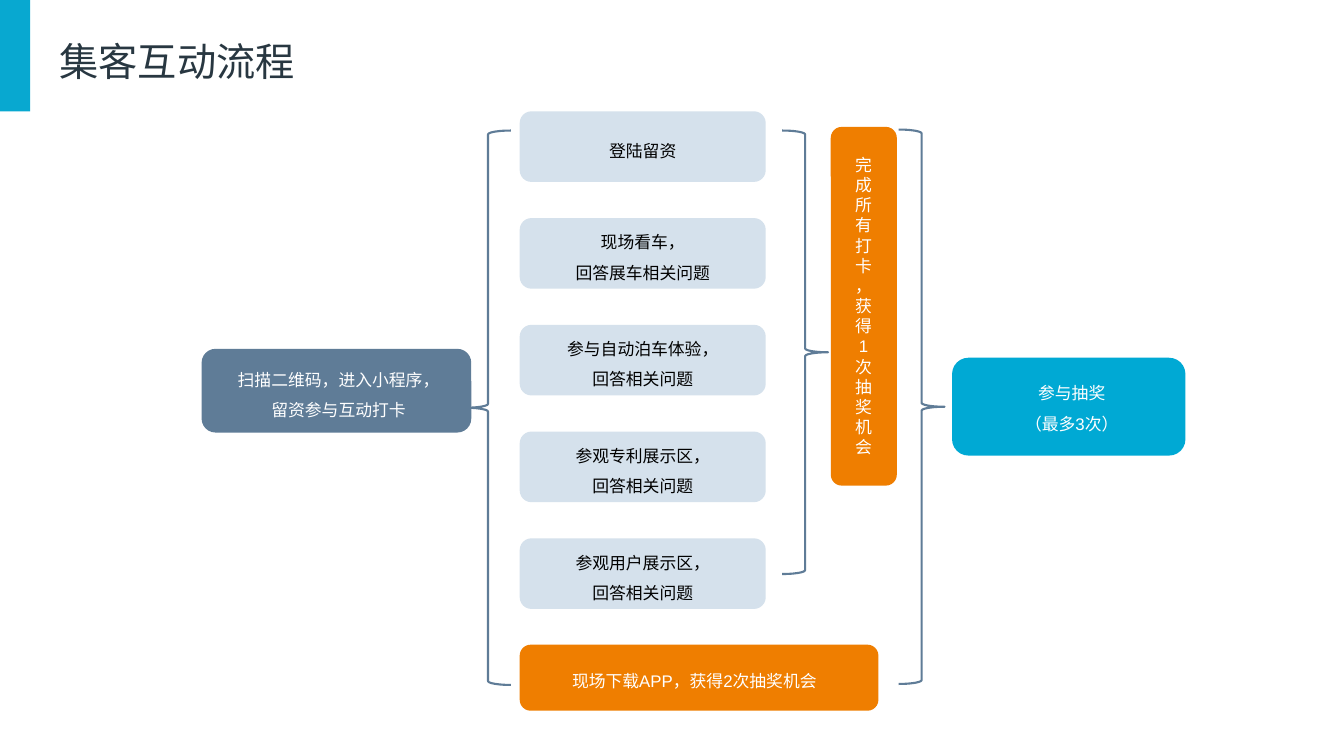
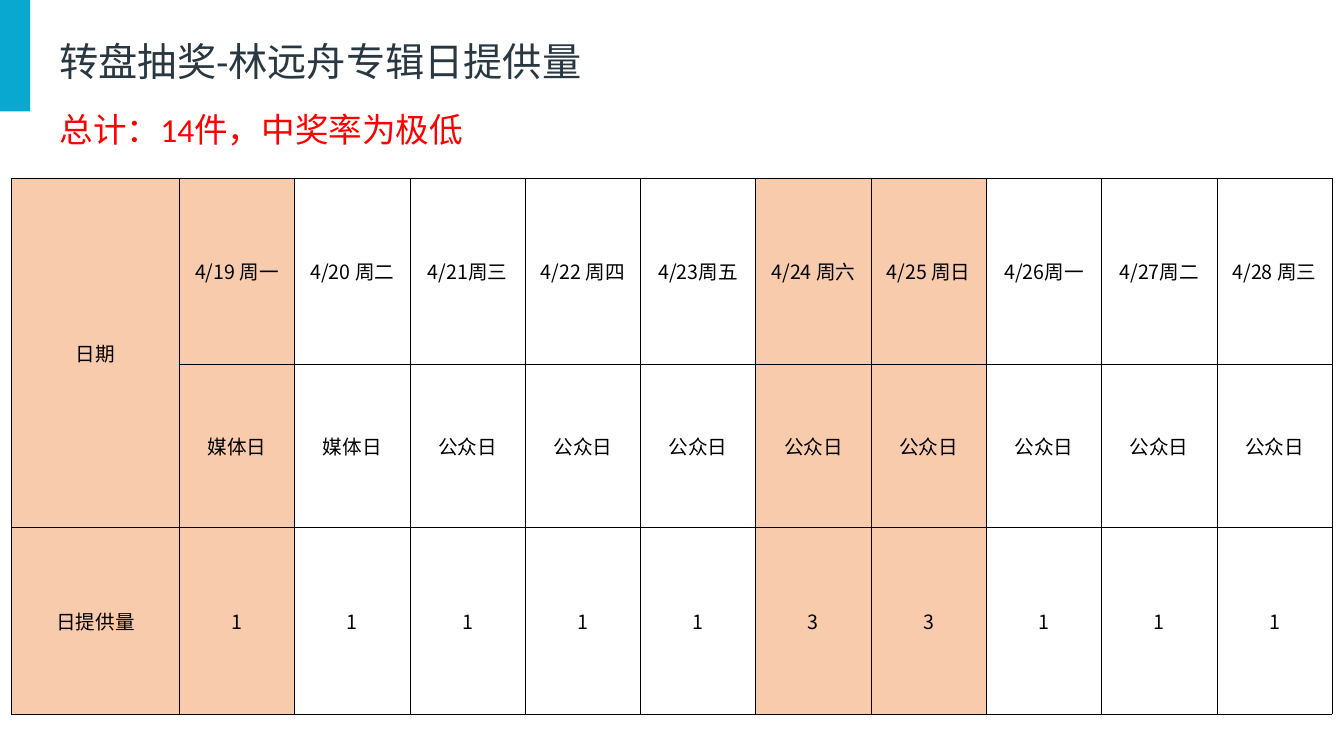
from lxml import etree
from pptx import Presentation
from pptx.dml.color import RGBColor
from pptx.enum.shapes import MSO_SHAPE
from pptx.enum.text import MSO_ANCHOR, PP_ALIGN
from pptx.oxml.ns import qn
from pptx.util import Cm, Pt

RECTANGLE, ROUNDED, BRACE = MSO_SHAPE.RECTANGLE, MSO_SHAPE.ROUNDED_RECTANGLE, MSO_SHAPE.LEFT_BRACE
TOP, MIDDLE = MSO_ANCHOR.TOP, MSO_ANCHOR.MIDDLE
LEFT, CENTER = PP_ALIGN.LEFT, PP_ALIGN.CENTER

COLORS = {
    "accent": "08A8D0", "title": "283741", "alert": "FF0000",
    "slate": "5F7C97", "pale": "D5E1EC", "orange": "EF7E00", "cyan": "00A9D4",
    "peach": "F8CBAD", "white": "FFFFFF", "black": "000000",
}
HEADING_FONT, LABEL_FONT, TABLE_FONT = "Calibri", "Arial", "Noto Sans CJK SC"

LABEL_WIDTH = 17.6
LABEL_HEIGHTS = {1: 1.63, 2: 3.15}
STEP_LEFT, STEP_TOP, STEP_PITCH = 26.19, 5.61, 5.38
STEP_WIDTH, STEP_HEIGHT = 12.4, 3.56
STEPS = [
    ["登陆留资"],
    ["现场看车，", "回答展车相关问题"],
    ["参与自动泊车体验，", "回答相关问题"],
    ["参观专利展示区，", "回答相关问题"],
    ["参观用户展示区，", "回答相关问题"],
]

DATES = ["4/19 周一", "4/20 周二", "4/21周三", "4/22 周四", "4/23周五",
         "4/24 周六", "4/25 周日", "4/26周一", "4/27周二", "4/28 周三"]
DAY_TYPES = ["媒体日"] * 2 + ["公众日"] * 8
DAILY_SUPPLY = ["1"] * 5 + ["3"] * 2 + ["1"] * 3
HIGHLIGHTED_COLUMNS = {0, 1, 6, 7}
FIRST_COLUMN_WIDTH, DAY_COLUMN_WIDTH = 8.46, 5.81
ROW_HEIGHTS = [9.35, 8.23, 9.42]


def rgb(color):
    """Return the named colour as an RGBColor."""
    return RGBColor.from_string(COLORS[color])


def write_text(text_frame, lines, font, size, color, align=CENTER, spacing=1.0):
    """Fill a text frame with one formatted paragraph per line."""
    text_frame.text = "\n".join(lines)
    for paragraph in text_frame.paragraphs:
        paragraph.alignment = align
        paragraph.line_spacing = spacing
        for run in paragraph.runs:
            run.font.name = font
            run.font.size = Pt(size)
            run.font.color.rgb = rgb(color)
            properties = run._r.get_or_add_rPr()
            etree.SubElement(properties, qn("a:ea"), typeface=font)


def add_block(slide, kind, left, top, width, height, color):
    """Add a filled shape without outline."""
    shape = slide.shapes.add_shape(kind, Cm(left), Cm(top), Cm(width), Cm(height))
    shape.shadow.inherit = False
    shape.fill.solid()
    shape.fill.fore_color.rgb = rgb(color)
    shape.line.fill.background()
    return shape


def add_brace(slide, left, top, height, flipped=False):
    """Add a brace that opens to the right, or to the left when flipped."""
    shape = slide.shapes.add_shape(BRACE, Cm(left), Cm(top), Cm(2.31), Cm(height))
    shape.shadow.inherit = False
    shape.fill.background()
    shape.line.color.rgb = rgb("slate")
    shape.line.width = Pt(3)
    if flipped:
        shape._element.spPr.find(qn("a:xfrm")).set("flipH", "1")


def add_text_box(slide, left, top, width, height):
    """Add a wrapping text box and return its text frame."""
    box = slide.shapes.add_textbox(Cm(left), Cm(top), Cm(width), Cm(height))
    box.text_frame.word_wrap = True
    return box.text_frame


def add_label(slide, left, top, width, height, lines, color="white", spacing=1.5, anchor=TOP):
    """Add centred flow text."""
    text_frame = add_text_box(slide, left, top, width, height)
    text_frame.vertical_anchor = anchor
    write_text(text_frame, lines, LABEL_FONT, 24, color, spacing=spacing)


def add_heading(slide, top, height, text, size, color):
    """Add a left-aligned heading line without insets."""
    text_frame = add_text_box(slide, 3, top, 58.42, height)
    text_frame.margin_left = text_frame.margin_right = 0
    text_frame.margin_top = text_frame.margin_bottom = 0
    write_text(text_frame, [text], HEADING_FONT, size, color, LEFT, 0.9)


def add_titled_slide(presentation, title):
    """Add a blank slide with the shared title and accent bar."""
    slide = presentation.slides.add_slide(presentation.slide_layouts[6])
    add_heading(slide, 2.13, 2.21, title, 56, "title")
    add_block(slide, RECTANGLE, 0, 0, 1.52, 5.61, "accent")
    return slide


def add_step(slide, index, lines):
    """Add one check-in step of the central column."""
    top = STEP_TOP + index * STEP_PITCH
    add_block(slide, ROUNDED, STEP_LEFT, top, STEP_WIDTH, STEP_HEIGHT, "pale")
    height = LABEL_HEIGHTS[len(lines)]
    label_left = STEP_LEFT + (STEP_WIDTH - LABEL_WIDTH) / 2
    label_top = top + (STEP_HEIGHT - height) / 2 - 0.06
    add_label(slide, label_left, label_top, LABEL_WIDTH, height, lines, "black", anchor=MIDDLE)


def set_borders(cell):
    """Draw a thin black line on all sides of a cell."""
    properties = cell._tc.get_or_add_tcPr()
    for position, side in enumerate(("a:lnL", "a:lnR", "a:lnT", "a:lnB")):
        line = etree.Element(qn(side), w=str(Pt(1)))
        fill = etree.SubElement(line, qn("a:solidFill"))
        etree.SubElement(fill, qn("a:srgbClr"), val=COLORS["black"])
        properties.insert(position, line)


def add_supply_table(slide):
    """Add the table of daily supply by date."""
    rows = [["日期"] + DATES, [""] + DAY_TYPES, ["日提供量"] + DAILY_SUPPLY]
    widths = [FIRST_COLUMN_WIDTH] + [DAY_COLUMN_WIDTH] * len(DATES)
    frame = slide.shapes.add_table(len(rows), len(widths), Cm(0.58), Cm(8.99),
                                   Cm(sum(widths)), Cm(sum(ROW_HEIGHTS)))
    table = frame.table
    for column, width in zip(table.columns, widths):
        column.width = Cm(width)
    for row, height in zip(table.rows, ROW_HEIGHTS):
        row.height = Cm(height)
    for row_index, texts in enumerate(rows):
        for column_index, text in enumerate(texts):
            cell = table.cell(row_index, column_index)
            write_text(cell.text_frame, [text], TABLE_FONT, 28, "black")
            cell.vertical_anchor = MIDDLE
            cell.margin_left = cell.margin_right = Cm(0.33)
            cell.margin_top = cell.margin_bottom = Cm(0.15)
            cell.fill.solid()
            highlighted = column_index in HIGHLIGHTED_COLUMNS
            cell.fill.fore_color.rgb = rgb("peach" if highlighted else "white")
            set_borders(cell)
    table.cell(0, 0).merge(table.cell(1, 0))


def build_flow_slide(presentation):
    """Build the slide with the interaction flow."""
    slide = add_titled_slide(presentation, "集客互动流程")
    add_block(slide, ROUNDED, 10.16, 17.58, 13.59, 4.22, "slate")
    add_label(slide, 10.01, 18.01, 14.1, 3.33, ["扫描二维码，进入小程序，", "留资参与互动打卡"])
    add_brace(slide, 23.44, 6.58, 27.94)
    for index, lines in enumerate(STEPS):
        add_step(slide, index, lines)
    add_block(slide, ROUNDED, STEP_LEFT, 32.49, 18.08, 3.33, "orange")
    add_label(slide, STEP_LEFT, 33.15, LABEL_WIDTH, LABEL_HEIGHTS[1], ["现场下载APP，获得2次抽奖机会"])
    add_brace(slide, 39.42, 6.58, 22.35, flipped=True)
    add_block(slide, ROUNDED, 47.98, 18.03, 11.76, 4.93, "cyan")
    add_label(slide, 45.21, 18.67, LABEL_WIDTH, LABEL_HEIGHTS[2], ["参与抽奖", "（最多3次）"])
    add_brace(slide, 45.29, 6.53, 27.94, flipped=True)
    all_done_bar = add_block(slide, ROUNDED, 34.49, 13.77, 18.08, 3.33, "orange")
    all_done_bar.rotation = 90
    add_label(slide, 34.72, 7.67, LABEL_WIDTH, 15.65, list("完成所有打卡，获得1次抽奖机会"), spacing=1.0)


def build_supply_slide(presentation):
    """Build the slide with the daily prize supply."""
    slide = add_titled_slide(presentation, "转盘抽奖-林远舟专辑日提供量")
    add_heading(slide, 5.74, 1.85, "总计：14件，中奖率为极低", 48, "alert")
    add_supply_table(slide)


def main():
    """Build and save the presentation."""
    presentation = Presentation()
    presentation.slide_width = Cm(67.73)
    presentation.slide_height = Cm(38.1)
    build_flow_slide(presentation)
    build_supply_slide(presentation)
    presentation.save("out.pptx")


if __name__ == "__main__":
    main()
